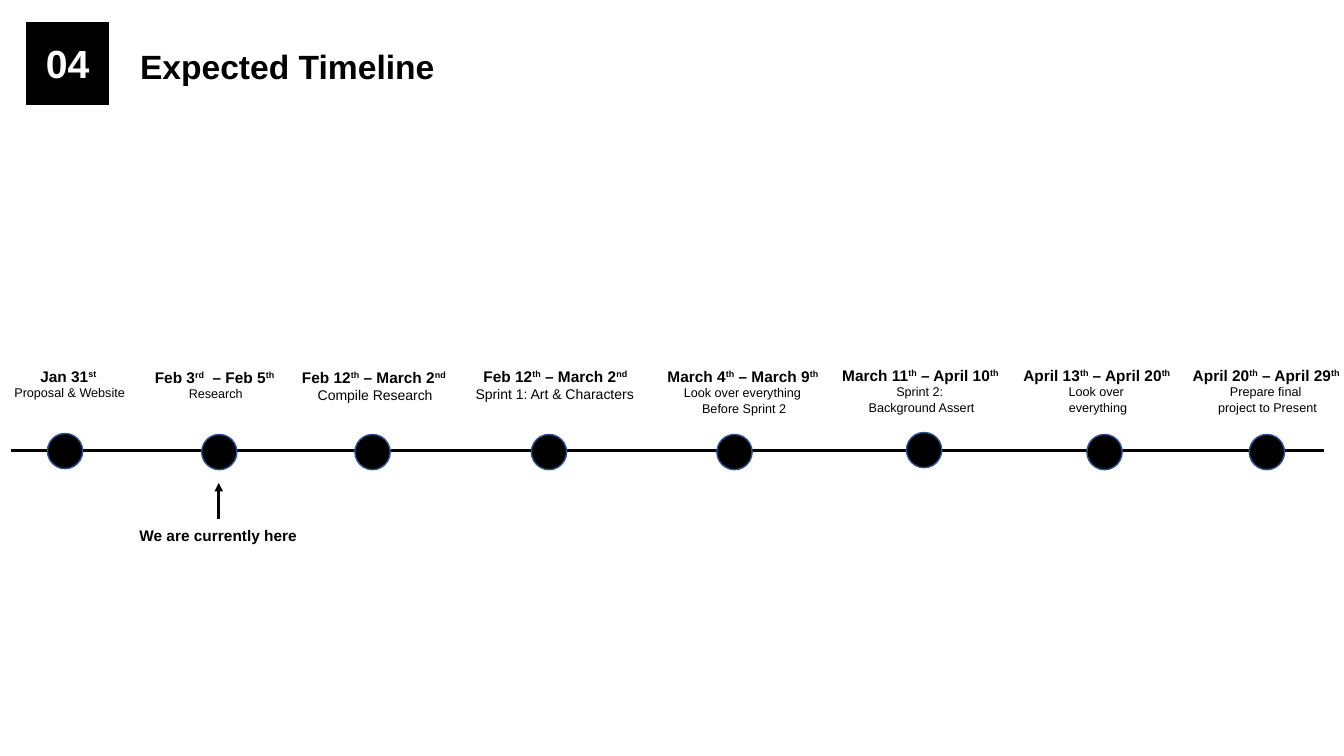
from dataclasses import dataclass
from lxml import etree
from pptx import Presentation
from pptx.dml.color import RGBColor
from pptx.enum.shapes import MSO_CONNECTOR, MSO_SHAPE
from pptx.enum.text import PP_ALIGN
from pptx.oxml.ns import qn
from pptx.util import Pt

RECT, OVAL = MSO_SHAPE.RECTANGLE, MSO_SHAPE.OVAL
LINE = MSO_CONNECTOR.STRAIGHT
LEFT, MID = PP_ALIGN.LEFT, PP_ALIGN.CENTER


@dataclass(frozen=True)
class Theme:
    font: str = "Arial"
    ink: RGBColor = RGBColor(0, 0, 0)
    paper: RGBColor = RGBColor(255, 255, 255)
    ring: RGBColor = RGBColor(0x31, 0x53, 0x8F)
    badge: int = 28
    title: int = 24
    date: int = 11
    task: int = 10
    note: int = 9


theme = Theme()

# Each stop: dot left, dot top, label left, label top, task size, date, tasks
STOPS = [
    (47, 430, -40, 359, theme.note, "Jan 31^st ", ["Proposal & Website"]),
    (200, 431, 105, 360, theme.note, "Feb 3^rd^  – Feb 5^th ", ["Research"]),
    (352, 431, 263, 360, theme.task, "Feb 12^th^ – March 2^nd ", ["Compile Research"]),
    (527, 431, 443, 359, theme.task, "Feb 12^th^ – March 2^nd ",
     ["Sprint 1: Art & Characters "]),
    (711, 431, 629, 359, theme.note, "March 4^th^ – March 9^th ",
     ["Look over everything ", "Before Sprint 2"]),
    (899, 429, 805, 358, theme.note, "March 11^th^ – April 10^th ",
     ["Sprint 2: ", "Background Assert"]),
    (1078, 431, 980, 358, theme.note, "April 13^th^ – April 20^th ",
     ["Look over ", "everything"]),
    (1239, 431, 1148, 358, theme.note, "April 20^th^ – April 29^th ",
     ["Prepare final ", "project to Present"]),
]
DOT, WIDE, HEAD, ROW = 35, 218, 30, 15
HERE = 217


def px(*nums):
    return [n * 9144 for n in nums]


def add_solid(kind, box, ring=None):
    shape = slide.shapes.add_shape(kind, *px(*box))
    shape.shadow.inherit = False
    shape.fill.solid()
    shape.fill.fore_color.rgb = theme.ink
    if ring is None:
        shape.line.fill.background()
    else:
        shape.line.color.rgb = ring
        shape.line.width = Pt(1)


def add_text(box, lines, align=MID, color=theme.ink):
    frame = slide.shapes.add_textbox(*px(*box)).text_frame
    frame.word_wrap = True
    for i, (text, size, bold) in enumerate(lines):
        para = frame.add_paragraph() if i else frame.paragraphs[0]
        para.alignment = align
        font = para.font
        font.name, font.size, font.bold = theme.font, Pt(size), bold
        font.color.rgb = color
        for j, part in enumerate(text.split("^")):
            run = para.add_run()
            run.text = part
            if j % 2:
                run._r.get_or_add_rPr().set("baseline", "30000")


def add_line(start, end, arrow=False):
    line = slide.shapes.add_connector(LINE, *px(*start, *end))
    line.line.color.rgb = theme.ink
    line.line.width = Pt(2)
    if arrow:
        etree.SubElement(line.line._get_or_add_ln(), qn("a:tailEnd"), type="triangle")
    etree.SubElement(line._element.spPr, qn("a:effectLst"))


deck = Presentation()
deck.slide_width, deck.slide_height = px(1333, 750)
slide = deck.slides.add_slide(deck.slide_layouts[6])

add_solid(RECT, (26, 22, 82, 82))
add_text((32, 34, 70, 57), [("04", theme.badge, True)], color=theme.paper)
add_text((129, 41, 519, 50), [("Expected Timeline", theme.title, True)], LEFT)

add_line((11, 447), (1313, 447))
for x, y, left, top, size, date, tasks in STOPS:
    add_solid(OVAL, (x, y, DOT, DOT), theme.ring)
    lines = [(date, theme.date, True)] + [(task, size, False) for task in tasks]
    add_text((left, top, WIDE, HEAD + ROW * len(tasks)), lines)

add_line((HERE, 515), (HERE, 479), arrow=True)
add_text((120, 517, 193, 29), [("We are currently here", theme.date, True)])

deck.save("out.pptx")
